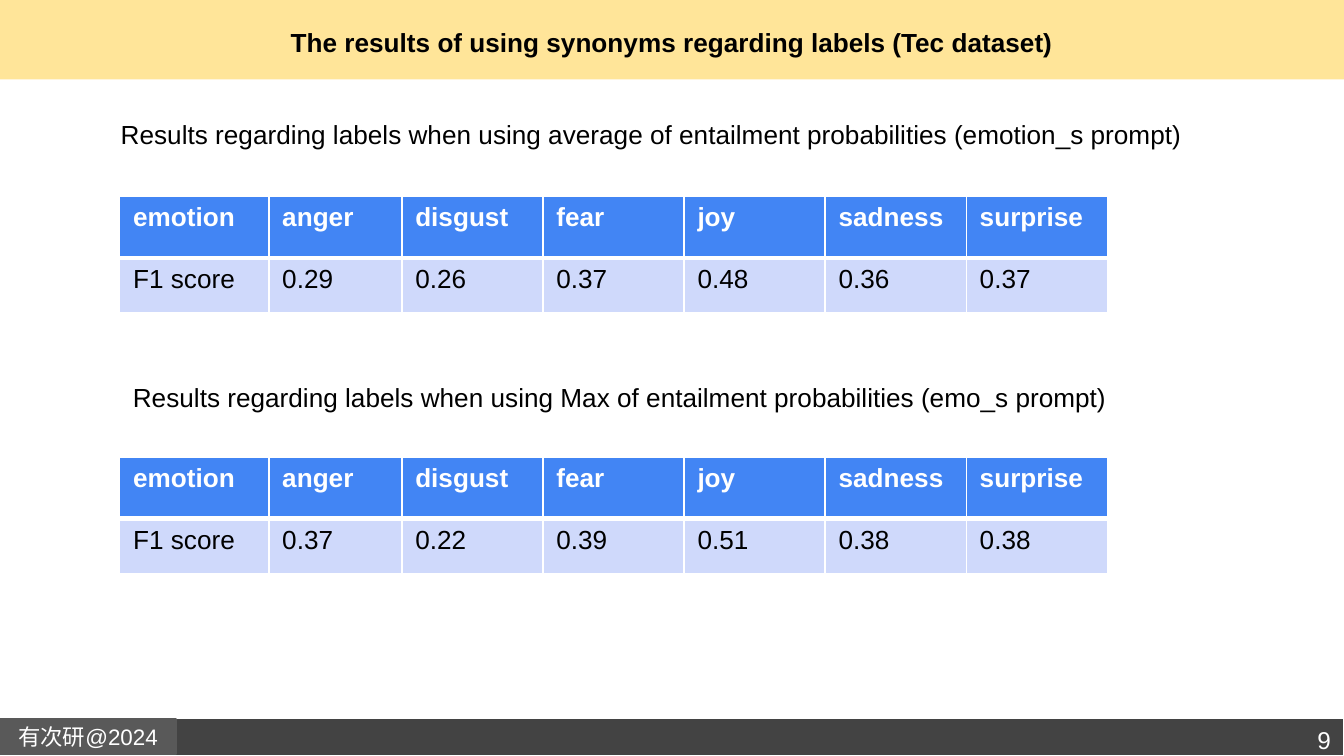
from lxml import etree
from pptx import Presentation
from pptx.dml.color import RGBColor
from pptx.enum.shapes import MSO_SHAPE
from pptx.enum.text import MSO_ANCHOR, PP_ALIGN
from pptx.oxml.ns import qn
from pptx.util import Inches, Pt

RECTANGLE = MSO_SHAPE.RECTANGLE
TOP, MIDDLE = MSO_ANCHOR.TOP, MSO_ANCHOR.MIDDLE
LEFT, CENTER, RIGHT = PP_ALIGN.LEFT, PP_ALIGN.CENTER, PP_ALIGN.RIGHT

WHITE = RGBColor(0xFF, 0xFF, 0xFF)
BLACK = RGBColor(0, 0, 0)
CREAM = RGBColor(0xFF, 0xE5, 0x99)
DARK_GRAY = RGBColor(0x43, 0x43, 0x43)
GRAY = RGBColor(0x59, 0x59, 0x59)
BLUE = RGBColor(0x42, 0x85, 0xF4)
PALE_BLUE = RGBColor(0xCF, 0xD9, 0xFB)

WIDTH = 10
HEIGHT = WIDTH * 9 / 16
FOOTER_HEIGHT = 0.28
TITLE = "The results of using synonyms regarding labels (Tec dataset)"
LAB = "有次研@2024"
PAGE = "9"
EMOTIONS = ["emotion", "anger", "disgust", "fear", "joy", "sadness", "surprise"]
# caption, caption box, table top, scores
RESULTS = [
    ("Results regarding labels when using average of entailment probabilities (emotion_s prompt)",
     (0.8, 0.83, 8.26, 0.34), 1.46, ["0.29", "0.26", "0.37", "0.48", "0.36", "0.37"]),
    ("Results regarding labels when using Max of entailment probabilities (emo_s prompt)",
     (0.89, 2.79, 7.98, 0.34), 3.4, ["0.37", "0.22", "0.39", "0.51", "0.38", "0.38"]),
]
TABLE_LEFT = 0.89
COLUMN_WIDTHS = [1.11, 0.99] + [1.05] * 5
ROW_HEIGHTS = [0.46, 0.41]
THIN, THICK = 1, 3


def inches(box):
    return [Inches(length) for length in box]


def write(frame, text, size, color, bold=False, align=LEFT):
    paragraph = frame.paragraphs[0]
    paragraph.alignment = align
    run = paragraph.add_run()
    run.text = text
    font = run.font
    font.name, font.size, font.bold = "Arial", Pt(size), bold
    font.color.rgb = color


def set_frame(frame, anchor, inset=0.1):
    frame.word_wrap = True
    frame.vertical_anchor = anchor
    frame.margin_left = frame.margin_right = Inches(0.1)
    frame.margin_top = frame.margin_bottom = Inches(inset)


def add_bar(slide, box, fill, line=None):
    bar = slide.shapes.add_shape(RECTANGLE, *inches(box))
    bar.shadow.inherit = False
    bar.fill.solid()
    bar.fill.fore_color.rgb = fill
    if line is None:
        bar.line.fill.background()
    else:
        bar.line.color.rgb = line
        bar.line.width = Pt(0.75)
    return bar


def add_text(slide, box, text, size, color, align=LEFT, inset=0.05):
    frame = slide.shapes.add_textbox(*inches(box)).text_frame
    set_frame(frame, TOP, inset)
    write(frame, text, size, color, align=align)


def set_borders(cell, widths):
    """Draw white borders; widths maps the sides L, R, T, B to points."""
    properties = cell._tc.get_or_add_tcPr()
    for side, width in widths.items():
        border = etree.SubElement(properties, qn(f"a:ln{side}"), w=str(Pt(width)))
        fill = etree.SubElement(border, qn("a:solidFill"))
        etree.SubElement(fill, qn("a:srgbClr"), val=str(WHITE))


def add_score_table(slide, top, scores):
    rows = [EMOTIONS, ["F1 score"] + scores]
    box = (TABLE_LEFT, top, sum(COLUMN_WIDTHS), sum(ROW_HEIGHTS))
    table = slide.shapes.add_table(len(rows), len(EMOTIONS), *inches(box)).table
    for column, width in zip(table.columns, COLUMN_WIDTHS):
        column.width = Inches(width)
    for r, (row, height) in enumerate(zip(rows, ROW_HEIGHTS)):
        table.rows[r].height = Inches(height)
        header = r == 0
        top_line, bottom_line = (THIN, THICK) if header else (THICK, THIN)
        for c, text in enumerate(row):
            cell = table.cell(r, c)
            set_borders(cell, {"L": THIN, "R": THIN, "T": top_line, "B": bottom_line})
            cell.fill.solid()
            cell.fill.fore_color.rgb = BLUE if header else PALE_BLUE
            write(cell.text_frame, text, 14, WHITE if header else BLACK, bold=header)


def main():
    deck = Presentation()
    deck.slide_width, deck.slide_height = Inches(WIDTH), Inches(HEIGHT)
    slide = deck.slides.add_slide(deck.slide_layouts[5])

    title = slide.shapes.title
    title.left, title.top, title.width, title.height = inches((0.34, 0, 9.32, 0.63))
    set_frame(title.text_frame, MIDDLE)
    write(title.text_frame, TITLE, 14, BLACK, bold=True, align=CENTER)
    title_band = add_bar(slide, (0, 0, WIDTH, 0.59), CREAM)
    title.element.addprevious(title_band.element)

    add_bar(slide, (0, HEIGHT - FOOTER_HEIGHT, WIDTH, FOOTER_HEIGHT), DARK_GRAY, WHITE)
    lab_tag = add_bar(slide, (0, 5.35, 1.31, 0.26), GRAY, GRAY)
    set_frame(lab_tag.text_frame, MIDDLE)
    write(lab_tag.text_frame, LAB, 12, WHITE, align=CENTER)
    add_text(slide, (8.95, 5.3, 1.05, 0.37), PAGE, 13, WHITE, RIGHT, inset=0.1)

    for caption, caption_box, table_top, scores in RESULTS:
        add_text(slide, caption_box, caption, 14, BLACK)
        add_score_table(slide, table_top, scores)

    deck.save("out.pptx")


if __name__ == "__main__":
    main()
